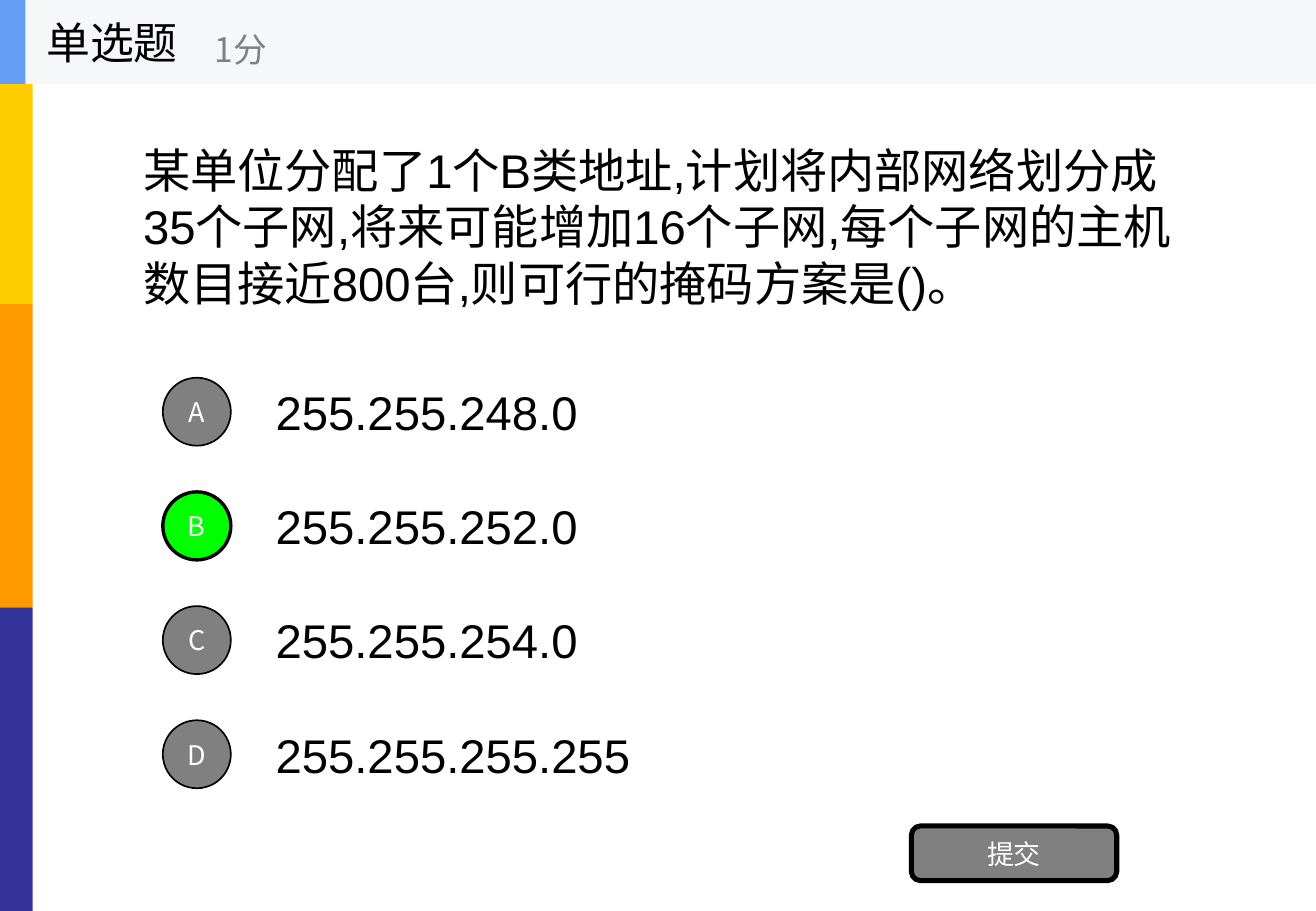
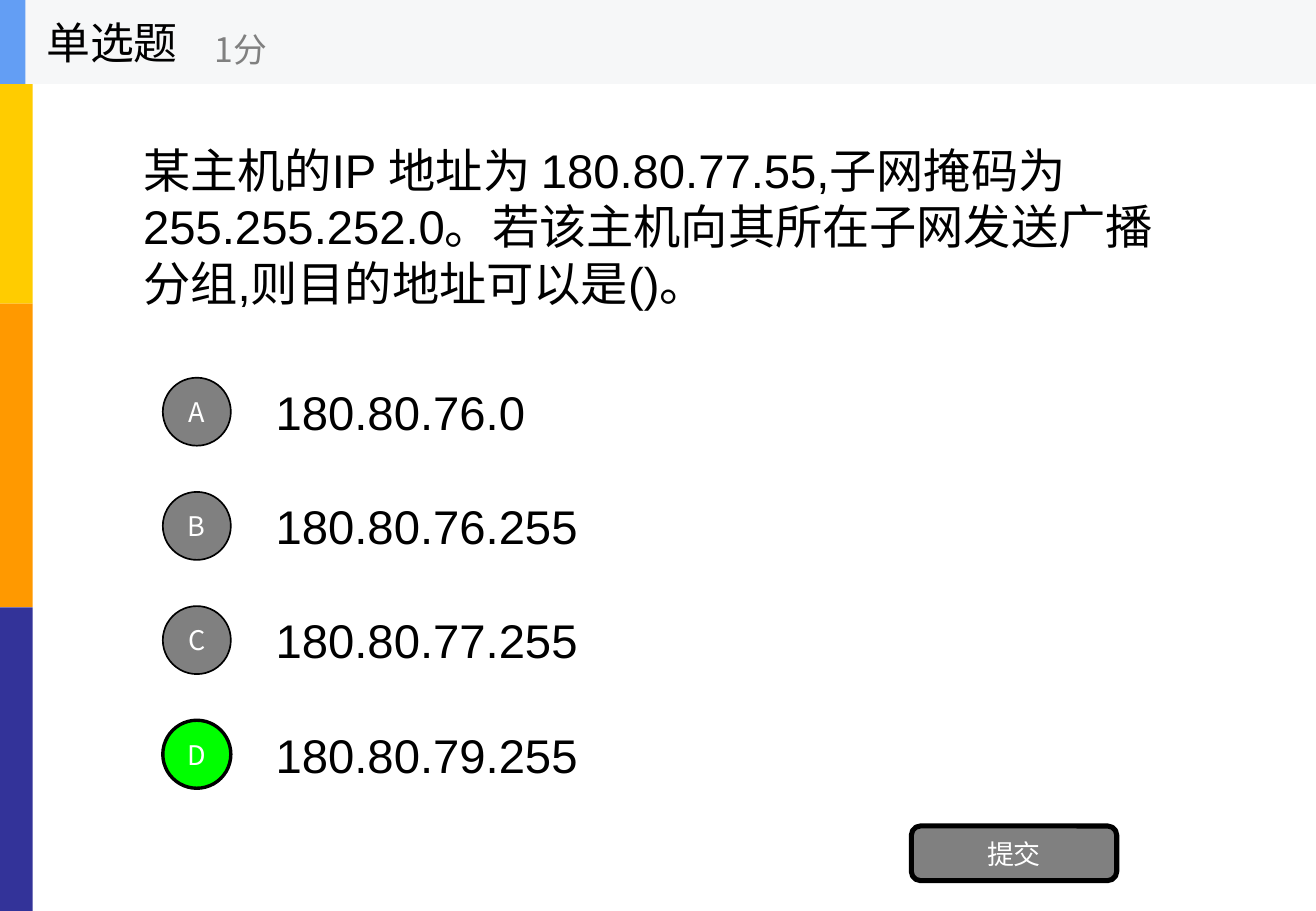
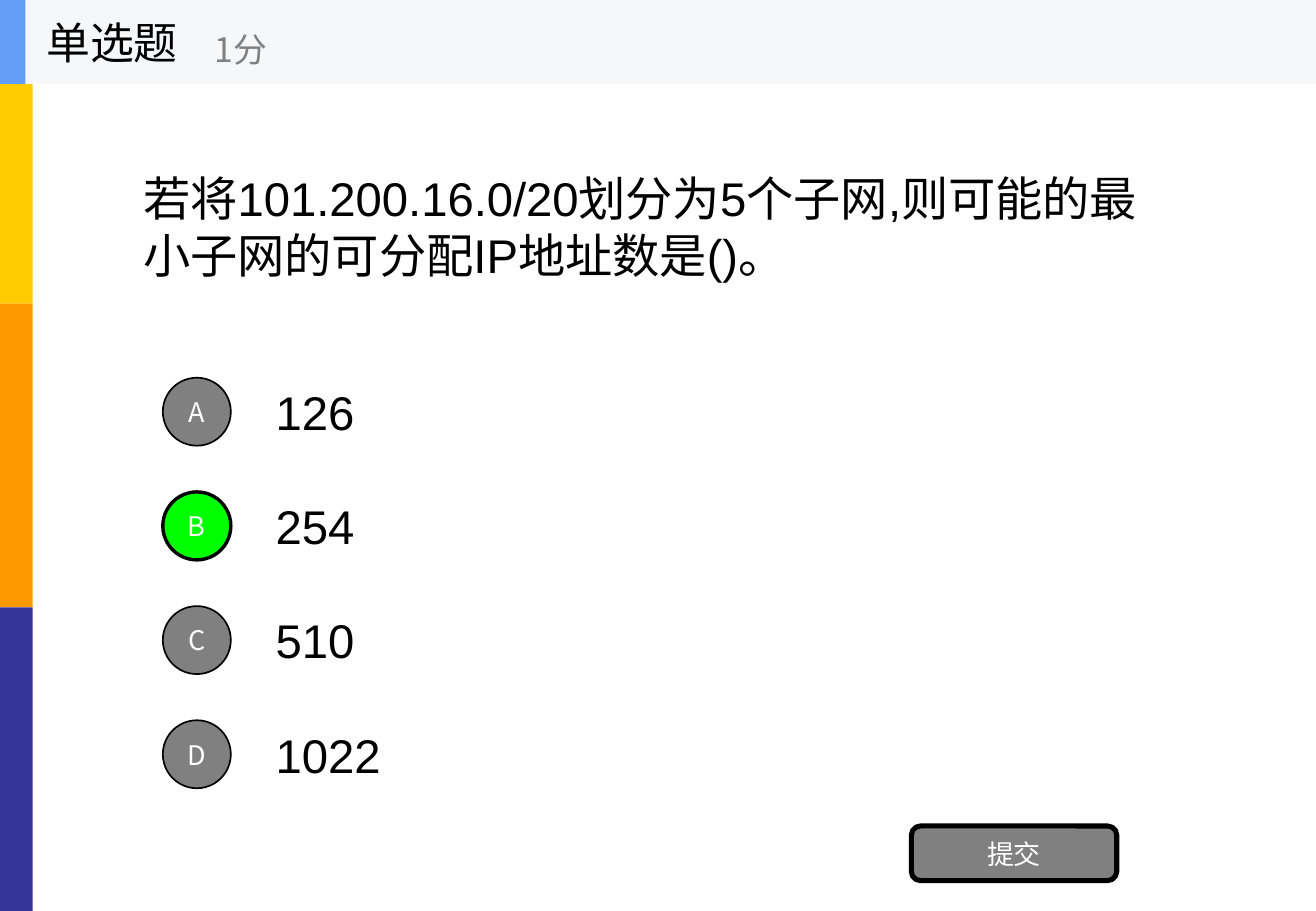
from lxml import etree
from pptx import Presentation
from pptx.dml.color import RGBColor
from pptx.enum.shapes import MSO_SHAPE
from pptx.enum.text import MSO_ANCHOR, MSO_AUTO_SIZE, PP_ALIGN
from pptx.oxml.ns import qn
from pptx.util import Inches, Pt

RECT, OVAL, ROUND = MSO_SHAPE.RECTANGLE, MSO_SHAPE.OVAL, MSO_SHAPE.ROUNDED_RECTANGLE
LEFT, CENTER = PP_ALIGN.LEFT, PP_ALIGN.CENTER
MIDDLE, FIXED = MSO_ANCHOR.MIDDLE, MSO_AUTO_SIZE.NONE

WIDE, HIGH, HEAD = 10.83, 7.5, 0.69
LATIN, HAN = "Arial", "Noto Sans CJK SC"
COLORS = {
    "yellow": "FFCC00", "orange": "FF9900", "navy": "333399",
    "band": "F6F7F8", "blue": "639EF4", "gray": "808080",
    "green": "00FF00", "black": "000000", "white": "FFFFFF",
}

# Text styles: size, font, colour, alignment
STYLES = {
    "title": (26, HAN, "black", LEFT),
    "score": (20, HAN, "gray", LEFT),
    "body": (28, LATIN, "black", LEFT),
    "button": (16, HAN, "white", CENTER),
}

# Question, choices, right letter
QUIZ = [
    ("某单位分配了1个B类地址,计划将内部网络划分成35个子网,将来可能增加16个子网,"
     "每个子网的主机数目接近800台,则可行的掩码方案是()。",
     ["255.255.248.0", "255.255.252.0", "255.255.254.0", "255.255.255.255"], "B"),
    ("某主机的IP 地址为 180.80.77.55,子网掩码为255.255.252.0。"
     "若该主机向其所在子网发送广播分组,则目的地址可以是()。",
     ["180.80.76.0", "180.80.76.255", "180.80.77.255", "180.80.79.255"], "D"),
    ("若将101.200.16.0/20划分为5个子网,则可能的最小子网的可分配IP地址数是()。",
     ["126", "254", "510", "1022"], "B"),
]


def color(name):
    return RGBColor.from_string(COLORS[name])


def write(shape, text, style, inset=0.1):
    """Put one styled paragraph into a shape."""
    size, face, ink, align = STYLES[style]
    frame = shape.text_frame
    form = {"word_wrap": True, "auto_size": FIXED, "vertical_anchor": MIDDLE,
            "margin_left": Inches(inset), "margin_right": Inches(inset),
            "margin_top": Inches(inset / 2), "margin_bottom": Inches(inset / 2)}
    for key, value in form.items():
        setattr(frame, key, value)
    para = frame.paragraphs[0]
    para.alignment = align
    run = para.add_run()
    run.text = text
    for key, value in {"size": Pt(size), "name": face, "bold": False}.items():
        setattr(run.font, key, value)
    run.font.color.rgb = color(ink)
    east = etree.SubElement(run.font._element, qn("a:ea"))
    east.set("typeface", HAN)


def add_text(slide, box, text, style):
    shape = slide.shapes.add_textbox(*map(Inches, box))
    write(shape, text, style)


def add_block(slide, kind, box, fill, line=0):
    shape = slide.shapes.add_shape(kind, *map(Inches, box))
    shape.shadow.inherit = False
    shape.fill.solid()
    shape.fill.fore_color.rgb = color(fill)
    if line:
        shape.line.color.rgb = color("black")
        shape.line.width = Pt(line)
    else:
        shape.line.fill.background()
    return shape


def add_bands(slide, layout):
    """Draw the side and header bands, then move them to the layout."""
    step = HIGH / 3
    bands = [((0, i * step, 0.27, step), fill)
             for i, fill in enumerate(("yellow", "orange", "navy"))]
    bands += [((0, 0, WIDE, HEAD), "band"), ((0, 0, 0.21, HEAD), "blue")]
    for i, (box, fill) in enumerate(bands):
        part = add_block(slide, RECT, box, fill).element
        part.nvSpPr.cNvPr.set("id", str(100 + i))
        layout.shapes.element.append(part)


def add_title(slide, text):
    title = slide.shapes.title
    place = {"left": 0.28, "top": 0, "width": 2.08, "height": HEAD}
    for key, value in place.items():
        setattr(title, key, Inches(value))
    write(title, text, "title")


def add_choice(slide, row, letter, text, right):
    top = 3.04 + row * 0.94
    add_text(slide, (2.17, top, 7.58, 0.7), text, "body")
    fill, line = ("green", 2) if right else ("gray", 1)
    badge = add_block(slide, OVAL, (1.34, top + 0.07, 0.56, 0.56), fill, line)
    write(badge, letter, "button", 0)


def add_quiz(slide, ask, picks, key):
    add_title(slide, "单选题")
    add_text(slide, (1.67, 0.12, 2.5, 0.56), "1分", "score")
    add_text(slide, (1.08, HEAD, 8.67, 2.34), ask, "body")
    for row, (letter, text) in enumerate(zip("ABCD", picks)):
        add_choice(slide, row, letter, text, letter == key)
    button = add_block(slide, ROUND, (7.5, 6.8, 1.69, 0.45), "gray", 3)
    write(button, "提交", "button", 0)


def main():
    deck = Presentation()
    deck.slide_width, deck.slide_height = Inches(WIDE), Inches(HIGH)
    layout = deck.slide_layouts[5]
    for i, quiz in enumerate(QUIZ):
        slide = deck.slides.add_slide(layout)
        if i == 0:
            add_bands(slide, layout)
        add_quiz(slide, *quiz)
    deck.save("out.pptx")


if __name__ == "__main__":
    main()
